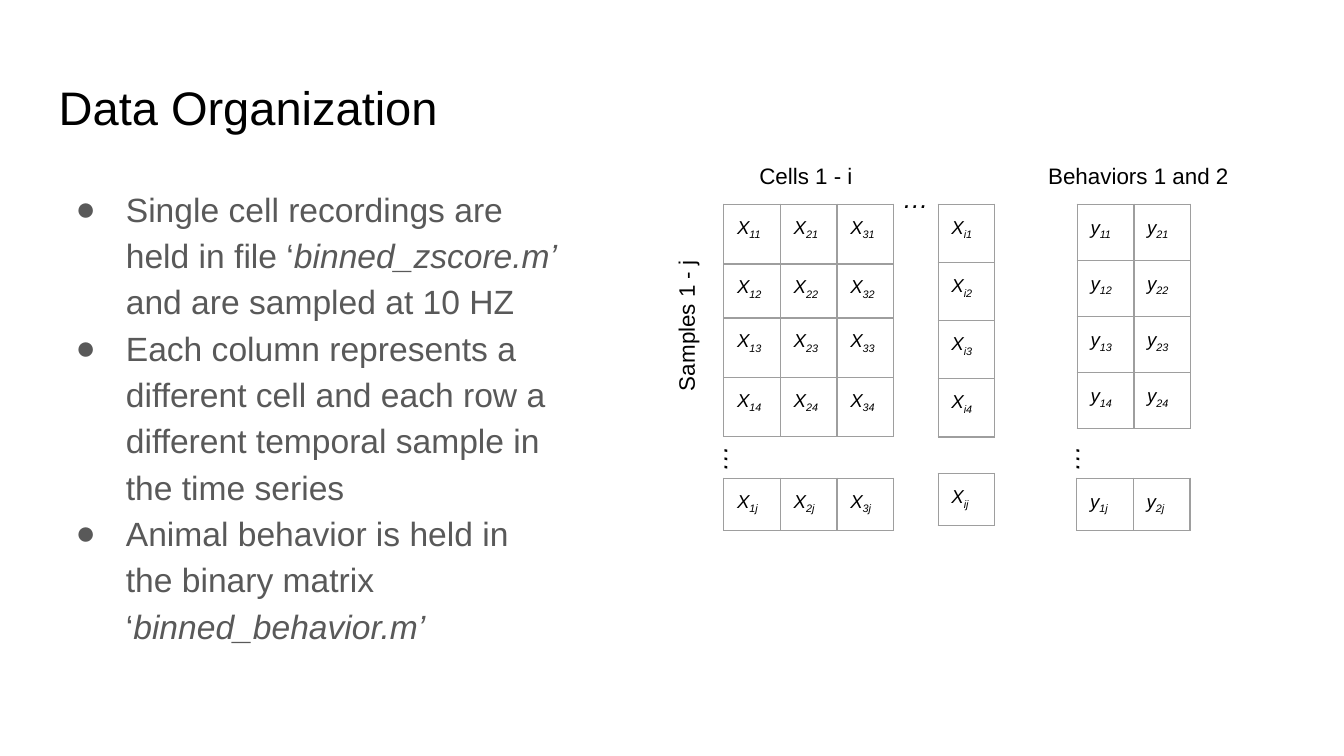
from lxml import etree
from pptx import Presentation
from pptx.dml.color import RGBColor
from pptx.enum.text import MSO_ANCHOR
from pptx.oxml.ns import qn
from pptx.util import Cm, Pt

TOP = MSO_ANCHOR.TOP
FONT = "Arial"
COLORS = {"ink": "000000", "body": "595959", "grid": "9E9E9E"}
PAD = Cm(0.25)
COL = 1.07

TITLE = ("Data Organization", 0.86, 1.24, 23.67, 1.6)
BODY = (0.86, 3.2, 9.96, 9.5)
POINTS = [
    [("Single cell recordings are held in file ‘", False),
     ("binned_zscore.m’", True),
     (" and are sampled at 10 HZ", False)],
    [("Each column represents a different cell and each row a different "
      "temporal sample in the time series", False)],
    [("Animal behavior is held in the binary matrix ‘", False),
     ("binned_behavior.m’", True)],
]
LABELS = [
    ("Cells 1 - i", 14.1, 2.82, 2.34, 0),
    ("Behaviors 1 and 2", 19.56, 2.82, 4.19, 0),
    ("Samples 1 - j", 11.38, 5.54, 3.18, 270),
]
DOTS = [(16.81, 3.2, 0), (13.11, 8.15, 270), (19.76, 8.15, 270)]
GRIDS = [
    ("X", "123", "1234", 13.68, 3.86, [1.13, 1.02, 1.12, 1.13]),
    ("X", "i", "1234", 17.73, 3.86, [1.1] * 4),
    ("X", "123", "j", 13.68, 9.04, [0.98]),
    ("X", "i", "j", 17.73, 8.95, [0.99]),
    ("y", "12", "1234", 20.36, 3.86, [1.06] * 4),
    ("y", "12", "j", 20.35, 9.04, [0.98]),
]


def style(para, size, color="ink", italic=None):
    font = para.font
    font.name, font.size, font.italic = FONT, Pt(size), italic
    font.color.rgb = RGBColor.from_string(COLORS[color])


def add_box(slide, x, y, w, h, turn=0):
    box = slide.shapes.add_textbox(Cm(x), Cm(y), Cm(w), Cm(h))
    box.rotation = turn
    frame = box.text_frame
    frame.word_wrap = True
    frame.vertical_anchor = TOP
    frame.margin_left = frame.margin_right = PAD
    frame.margin_top = frame.margin_bottom = PAD
    return frame


def add_text(slide, text, size, place, italic=None):
    para = add_box(slide, *place).paragraphs[0]
    para.text = text
    style(para, size, italic=italic)


def add_color(parent, color):
    etree.SubElement(parent, qn("a:srgbClr"), val=COLORS[color])


def add_bullet(para):
    props = para._p.get_or_add_pPr()
    props.set("marL", str(Cm(1.27)))
    props.set("indent", str(Cm(-0.95)))
    add_color(etree.SubElement(props, qn("a:buClr")), "body")
    etree.SubElement(props, qn("a:buFont"), typeface=FONT)
    etree.SubElement(props, qn("a:buChar"), char="●")


def add_points(slide):
    frame = add_box(slide, *BODY)
    for i, parts in enumerate(POINTS):
        para = frame.add_paragraph() if i else frame.paragraphs[0]
        para.line_spacing = 1.15
        add_bullet(para)
        style(para, 18, "body")
        for text, slant in parts:
            run = para.add_run()
            run.text = text
            if slant:
                run.font.italic = True


def fill_cell(cell, name, index):
    cell.margin_left = cell.margin_right = PAD
    cell.margin_top = cell.margin_bottom = PAD
    props = cell._tc.get_or_add_tcPr()
    for side in "LRTB":
        line = etree.SubElement(props, qn("a:ln" + side), w=str(Pt(0.75)))
        add_color(etree.SubElement(line, qn("a:solidFill")), "grid")
    cell.fill.background()
    para = cell.text_frame.paragraphs[0]
    style(para, 10, italic=True)
    para.add_run().text = name
    sub = para.add_run()
    sub.text = index
    sub._r.get_or_add_rPr().set("baseline", "-25000")


def add_grid(slide, name, cols, rows, x, y, heights):
    table = slide.shapes.add_table(
        len(rows), len(cols), Cm(x), Cm(y),
        Cm(COL * len(cols)), Cm(sum(heights))).table
    table.first_row = table.horz_banding = False
    for col in table.columns:
        col.width = Cm(COL)
    for r, row in enumerate(rows):
        table.rows[r].height = Cm(heights[r])
        for c, col in enumerate(cols):
            fill_cell(table.cell(r, c), name, col + row)


def main():
    deck = Presentation()
    deck.slide_width, deck.slide_height = Cm(25.4), Cm(14.29)
    slide = deck.slides.add_slide(deck.slide_layouts[6])
    add_text(slide, TITLE[0], 25.2, TITLE[1:])
    add_points(slide)
    for grid in GRIDS:
        add_grid(slide, *grid)
    for text, x, y, w, turn in LABELS:
        add_text(slide, text, 12, (x, y, w, 1.02, turn))
    for x, y, turn in DOTS:
        add_text(slide, "…", 14, (x, y, 0.91, 1.12, turn), True)
    deck.save("out.pptx")


if __name__ == "__main__":
    main()
